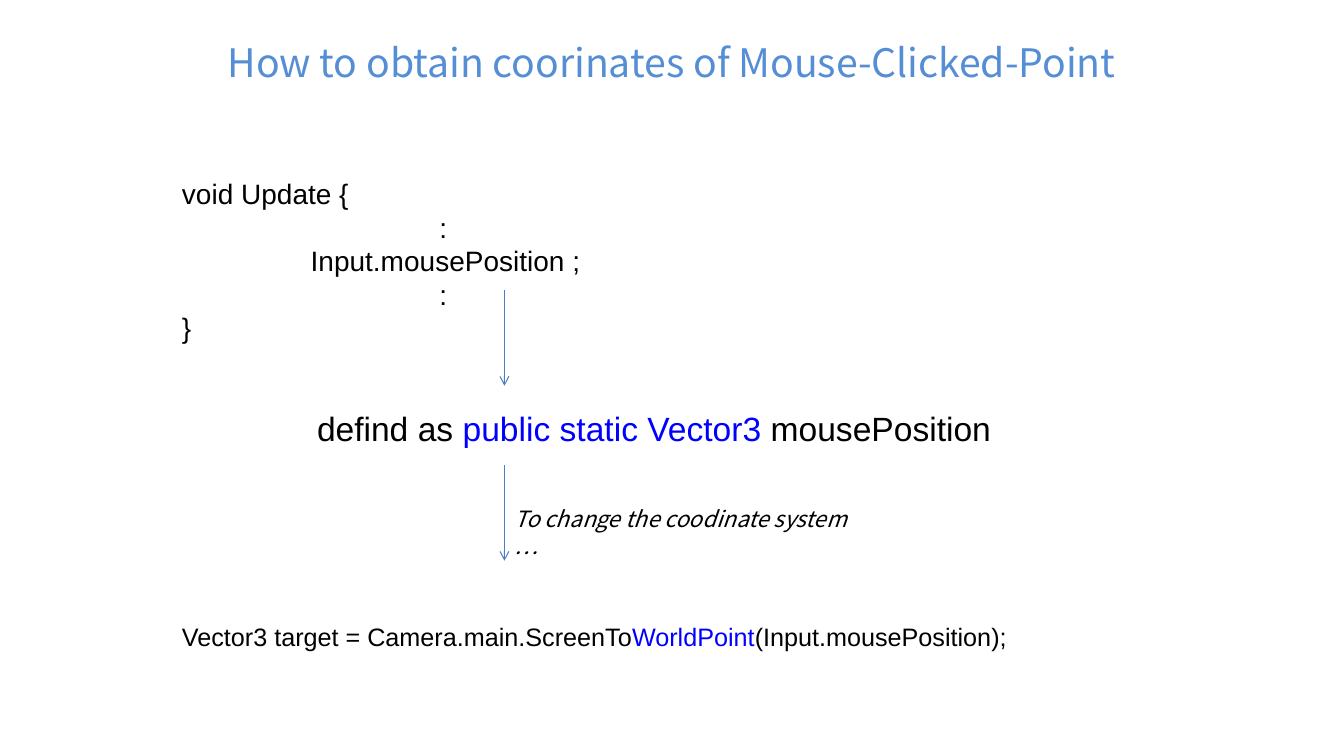
from pptx import Presentation
from pptx.dml.color import RGBColor
from pptx.enum.shapes import MSO_CONNECTOR
from pptx.enum.text import MSO_ANCHOR, MSO_AUTO_SIZE, PP_ALIGN
from pptx.oxml.ns import qn
from pptx.util import Pt
from lxml import etree

STRAIGHT = MSO_CONNECTOR.STRAIGHT
MIDDLE, TOP = MSO_ANCHOR.MIDDLE, MSO_ANCHOR.TOP
FIXED = MSO_AUTO_SIZE.NONE
CENTER, LEFT = PP_ALIGN.CENTER, PP_ALIGN.LEFT
BLACK = RGBColor(0, 0, 0)
BLUE = RGBColor(0, 0, 0xFF)
SKY = RGBColor(0x55, 0x8E, 0xD5)
STEEL = RGBColor(0x4B, 0x7E, 0xBC)
SANS, NOTO = "Arial", "Noto Sans CJK KR"
TAB = 92


def place(shape, box):
    """Move a shape to a box of left, top, width and height in points."""
    shape.left, shape.top, shape.width, shape.height = map(Pt, box)


def add_run(para, text, size, font=SANS, color=BLACK, slant=False):
    """Add one formatted run to a paragraph."""
    run = para.add_run()
    run.text = text
    run.font.size = Pt(size)
    run.font.name = font
    run.font.italic = slant
    run.font.color.rgb = color


def add_title(slide, box, text):
    """Fill the title placeholder."""
    title = slide.shapes.title
    place(title, box)
    frame = title.text_frame
    frame.auto_size = FIXED
    frame.vertical_anchor = MIDDLE
    para = frame.paragraphs[0]
    para.alignment = CENTER
    add_run(para, text, 28, NOTO, SKY)


def add_text(slide, box, lines, size, font=SANS, slant=False):
    """Add a text box of lines, each a tab depth and its coloured parts."""
    frame = slide.shapes.add_textbox(*map(Pt, box)).text_frame
    frame.word_wrap = True
    frame.vertical_anchor = TOP
    for i, (depth, parts) in enumerate(lines):
        para = frame.add_paragraph() if i else frame.paragraphs[0]
        para.alignment = LEFT
        if depth:
            para._p.get_or_add_pPr().set("marL", str(Pt(depth * TAB)))
        for text, color in parts:
            add_run(para, text, size, font, color, slant)


def add_arrow(slide, box):
    """Draw an arrow down the left edge of a box."""
    left, top, _, height = box
    line = slide.shapes.add_connector(
        STRAIGHT, Pt(left), Pt(top), Pt(left), Pt(top + height))
    line.line.color.rgb = STEEL
    line.line.width = Pt(0.75)
    etree.SubElement(line.line._get_or_add_ln(), qn("a:tailEnd"), type="arrow")
    etree.SubElement(line._element.spPr, qn("a:effectLst"))


def add_code(slide, box):
    """Add the Update method with its indented body."""
    rows = [(0, "void Update {"), (2, ":"), (1, "Input.mousePosition ;"),
            (2, ":"), (0, "}")]
    add_text(slide, box, [(depth, [(text, BLACK)]) for depth, text in rows], 20)


def add_steps(slide, box):
    """Add the definition, the change of system and the final call."""
    left, top, width, _ = box
    shaft = left + 237.5
    for y in (0, 125):
        add_arrow(slide, (shaft, top + y, 0, 68))
    add_text(slide, (left + 96.5, top + 80.5, 560, 36), [(0, [
        ("defind as ", BLACK), ("public static Vector3 ", BLUE),
        ("mousePosition", BLACK)])], 24)
    add_text(slide, (shaft, top + 149.5, 261, 54), [(0, [
        ("To change the coodinate system …", BLACK)])], 16, NOTO, True)
    add_text(slide, (left, top + 232.5, width, 29), [(0, [
        ("Vector3 target = Camera.main.ScreenTo", BLACK),
        ("WorldPoint", BLUE), ("(Input.mousePosition);", BLACK)])], 18)


def main():
    """Build the slide and save it."""
    deck = Presentation()
    deck.slide_width, deck.slide_height = Pt(960.48), Pt(540)
    slide = deck.slides.add_slide(deck.slide_layouts[5])
    add_title(slide, (48, 21.5, 864, 45),
              "How to obtain coorinates of Mouse-Clicked-Point")
    add_code(slide, (123, 122.5, 330, 128))
    add_steps(slide, (123, 207.5, 642, 262))
    deck.save("out.pptx")


main()
